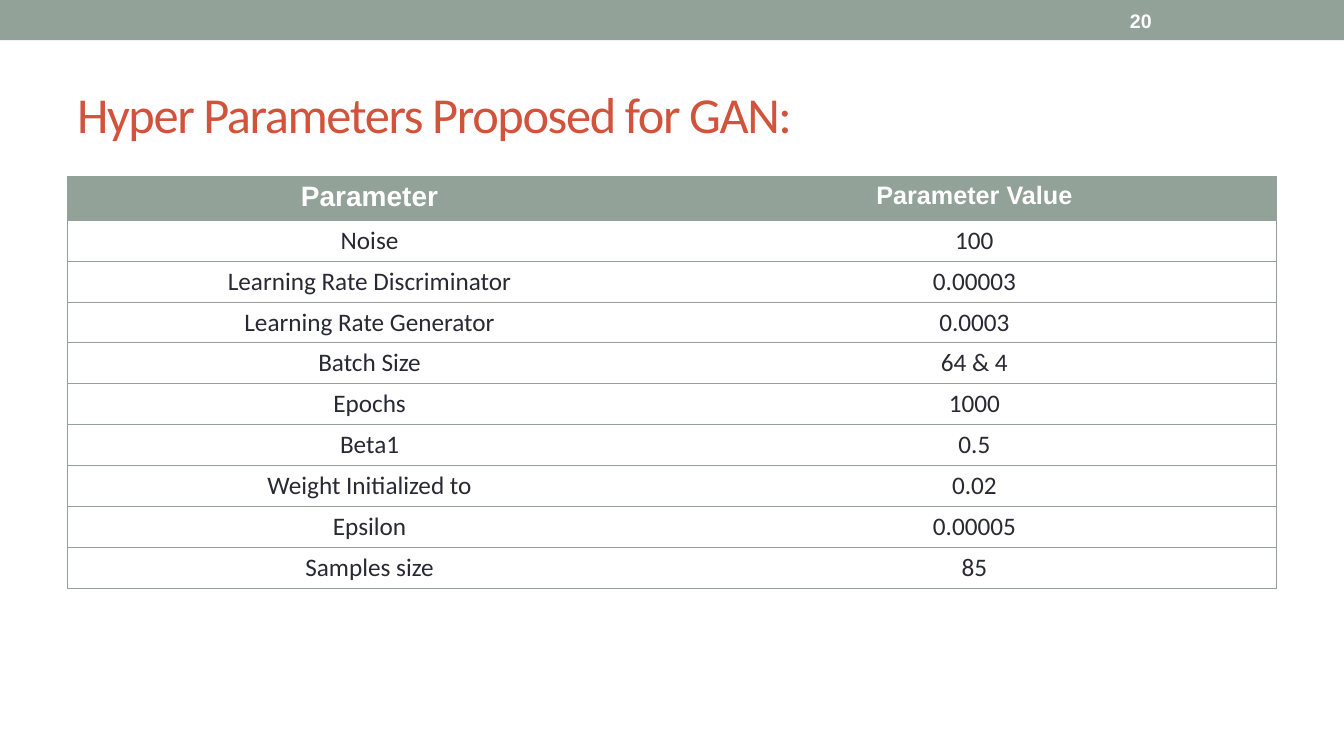
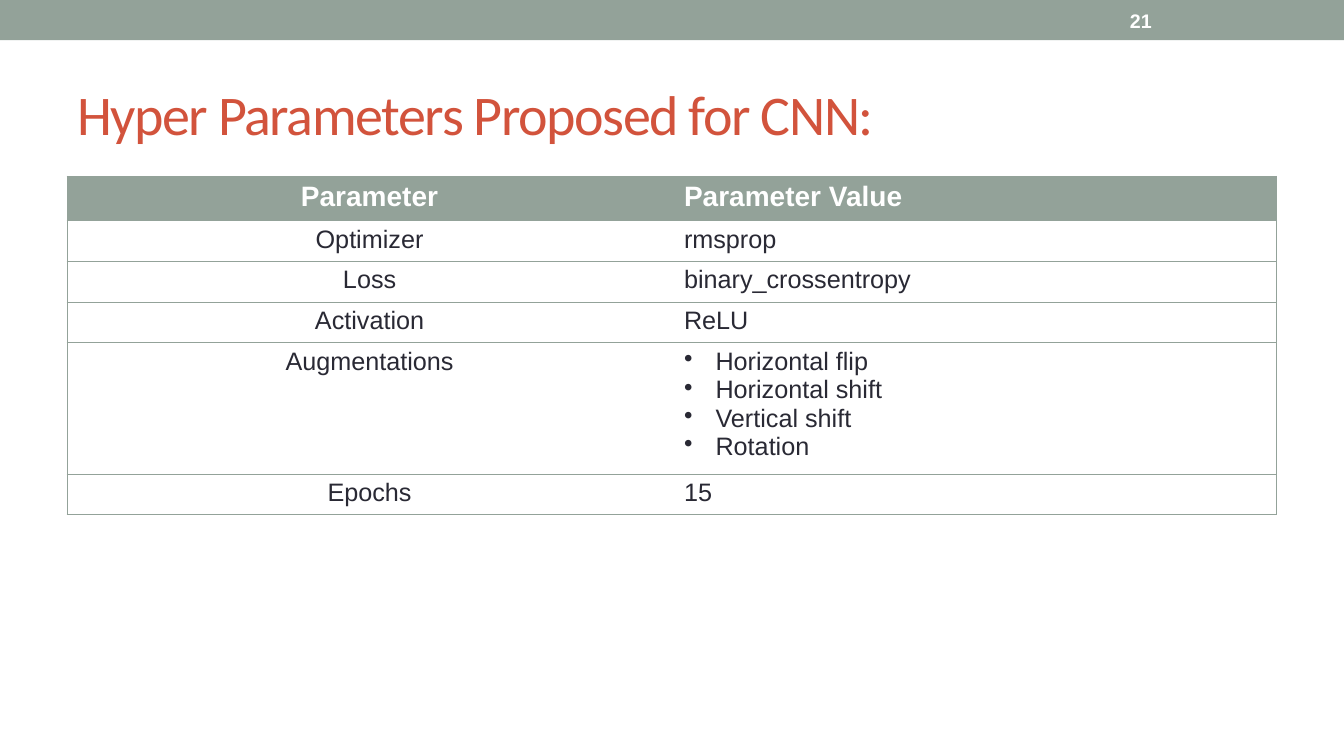
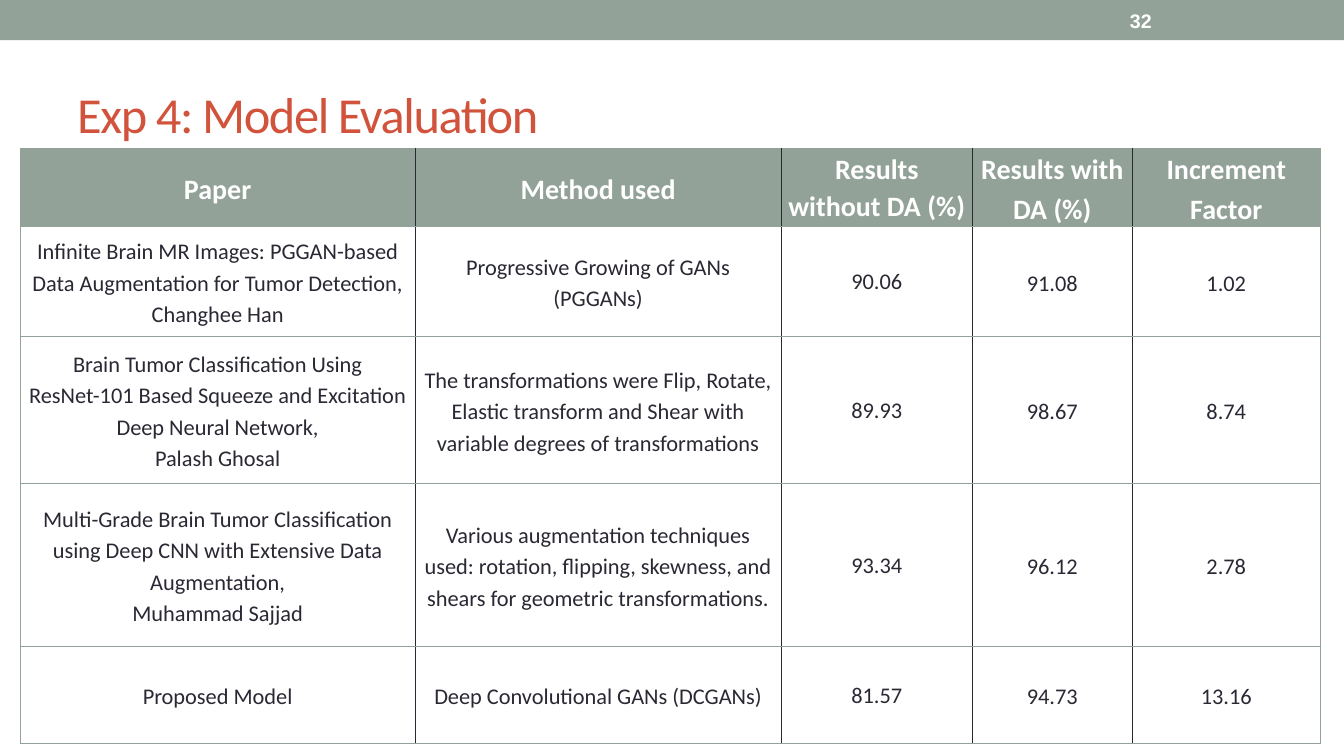
import pptx
import pptx.dml.color
import pptx.enum.shapes
import pptx.enum.text
import pptx.oxml
import pptx.oxml.ns
import pptx.util
from lxml import etree

Pt = pptx.util.Pt
ALIGN = pptx.enum.text.PP_ALIGN
ANCHOR = pptx.enum.text.MSO_ANCHOR

COLORS = {"sage": "93A299", "brick": "D2533C", "ink": "292934", "white": "FFFFFF"}
PAGE_WIDTH, PAGE_HEIGHT = 960, 540
BAND_HEIGHT = 28.8
TITLE_BOX = (48, 42, 864, 78)
NUMBER_BOX = (800, 1.5, 112, 26)
ROW = 29.25
OUTER_LINE = ("sage", 0.75)

# Formats of the two simple parameter tables; the evaluation table overrides them.
PARAMETER_TABLE = dict(
    left=48, top=126, columns=[432, 432], margins=(8.64, 3.6), anchor=ANCHOR.TOP,
    header_font="Arial", body_font="Calibri", header_sizes=[20, 20], body_size=18,
    aligns=[ALIGN.CENTER, ALIGN.CENTER], spacings=[1, 1], column_line=None)

SLIDES = [
    dict(number="20", title="Hyper Parameters Proposed for GAN:", title_size=36,
         cells=[
             ("Parameter", "Parameter Value"),
             ("Noise", "100"),
             ("Learning Rate Discriminator", "0.00003"),
             ("Learning Rate Generator", "0.0003"),
             ("Batch Size", "64 & 4"),
             ("Epochs", "1000"),
             ("Beta1", "0.5"),
             ("Weight Initialized to", "0.02"),
             ("Epsilon", "0.00005"),
             ("Samples size", "85"),
         ],
         table=dict(PARAMETER_TABLE, rows=[ROW] * 10, header_sizes=[20, 18])),
    dict(number="21", title="Hyper Parameters Proposed for CNN:", title_size=40,
         cells=[
             ("Parameter", "Parameter Value"),
             ("Optimizer", "rmsprop"),
             ("Loss", "binary_crossentropy"),
             ("Activation", "ReLU"),
             ("Augmentations",
              ["Horizontal flip", "Horizontal shift", "Vertical shift", "Rotation"]),
             ("Epochs", "15"),
         ],
         table=dict(PARAMETER_TABLE, rows=[ROW] * 4 + [3 * ROW, ROW], body_font="Arial",
                    aligns=[ALIGN.CENTER, ALIGN.JUSTIFY], list_indent=22.5)),
    dict(number="32", title="Exp 4: Model Evaluation", title_size=36,
         cells=[
             ("Paper", "Method used", "Results without DA (%)",
              "Results with DA (%)", "Increment Factor"),
             (["Inﬁnite Brain MR Images: PGGAN-based Data Augmentation for Tumor Detection,",
               "Changhee Han"],
              "Progressive Growing of GANs (PGGANs)", "90.06", "91.08", "1.02"),
             (["Brain Tumor Classiﬁcation Using ResNet-101 Based Squeeze and Excitation "
               "Deep Neural Network,", "Palash Ghosal"],
              "The transformations were Flip, Rotate, Elastic transform and Shear with "
              "variable degrees of transformations", "89.93", "98.67", "8.74"),
             (["Multi-Grade Brain Tumor Classiﬁcation using Deep CNN with Extensive Data "
               "Augmentation,", "Muhammad Sajjad"],
              "Various augmentation techniques used: rotation, flipping, skewness, and "
              "shears for geometric transformations.", "93.34", "96.12", "2.78"),
             ("Proposed Model", "Deep Convolutional GANs (DCGANs)",
              "81.57", "94.73", "13.16"),
         ],
         table=dict(left=14.75, top=105.75, columns=[281.5, 262, 136.25, 114.5, 134],
                    rows=[56, 78.5, 105, 116.5, 69], margins=(4.9, 0),
                    anchor=ANCHOR.MIDDLE, header_font="Calibri", body_font="Calibri",
                    header_sizes=[20] * 5, body_size=16, aligns=[ALIGN.CENTER] * 5,
                    spacings=[1.15, 1.15, 1.06, 1.15, 1.15], column_line=("ink", 0.25))),
]


def rgb(name):
    return pptx.dml.color.RGBColor.from_string(COLORS[name])


def write(frame, text, font="Calibri", size=18, color="ink", bold=False,
          align=ALIGN.LEFT, spacing=1, tracking=0, bullet_indent=0):
    """Fill a text frame; a list of strings gives one paragraph each."""
    lines = [text] if isinstance(text, str) else text
    for index, line in enumerate(lines):
        para = frame.paragraphs[0] if index == 0 else frame.add_paragraph()
        para.alignment = align
        para.line_spacing = spacing
        if bullet_indent:
            properties = para._p.get_or_add_pPr()
            properties.set("marL", str(Pt(bullet_indent)))
            properties.set("indent", str(-Pt(bullet_indent)))
            bullet = etree.SubElement(properties, pptx.oxml.ns.qn("a:buChar"))
            bullet.set("char", "•")
        span = para.add_run()
        span.text = line
        span.font.name, span.font.size, span.font.bold = font, Pt(size), bold
        span.font.color.rgb = rgb(color)
        if tracking:
            span._r.get_or_add_rPr().set("spc", str(tracking * 100))


def add_text(page, bounds, text, **text_format):
    box = page.shapes.add_textbox(*map(Pt, bounds))
    box.text_frame.word_wrap = True
    box.text_frame.vertical_anchor = ANCHOR.MIDDLE
    write(box.text_frame, text, **text_format)


def set_border(cell, side, line):
    """Draw one side (L, R, T or B) with a (colour, width) line, or clear it with None."""
    edge = etree.SubElement(cell._tc.get_or_add_tcPr(), pptx.oxml.ns.qn("a:ln" + side))
    if line is None:
        etree.SubElement(edge, pptx.oxml.ns.qn("a:noFill"))
        return
    color, width = line
    edge.set("w", str(Pt(width)))
    fill = etree.SubElement(edge, pptx.oxml.ns.qn("a:solidFill"))
    etree.SubElement(fill, pptx.oxml.ns.qn("a:srgbClr")).set("val", COLORS[color])


def add_table(page, cells, left, top, columns, rows, margins, anchor, header_font,
              body_font, header_sizes, body_size, aligns, spacings, column_line,
              list_indent=0):
    table = page.shapes.add_table(len(rows), len(columns), Pt(left), Pt(top),
                                  Pt(sum(columns)), Pt(sum(rows))).table
    table.horz_banding = False
    for column, width in zip(table.columns, columns):
        column.width = Pt(width)
    for row, height in zip(table.rows, rows):
        row.height = Pt(height)

    last = len(columns) - 1
    for r, texts in enumerate(cells):
        header = r == 0
        for c, text in enumerate(texts):
            cell = table.cell(r, c)
            cell.margin_left = cell.margin_right = Pt(margins[0])
            cell.margin_top = cell.margin_bottom = Pt(margins[1])
            cell.vertical_anchor = anchor
            set_border(cell, "L", OUTER_LINE if c == 0 else column_line)
            set_border(cell, "R", OUTER_LINE if c == last else column_line)
            set_border(cell, "T", OUTER_LINE)
            set_border(cell, "B", OUTER_LINE)
            cell.fill.solid()
            cell.fill.fore_color.rgb = rgb("sage" if header else "white")
            write(cell.text_frame, text, bold=header, align=aligns[c], spacing=spacings[c],
                  font=header_font if header else body_font,
                  size=header_sizes[c] if header else body_size,
                  color="white" if header else "ink",
                  bullet_indent=list_indent if isinstance(text, list) else 0)


def add_page(deck, number, title, title_size, cells, table):
    page = deck.slides.add_slide(deck.slide_layouts[6])
    band = page.shapes.add_shape(pptx.enum.shapes.MSO_SHAPE.RECTANGLE, 0, 0,
                                 Pt(PAGE_WIDTH), Pt(BAND_HEIGHT))
    band.shadow.inherit = False
    band.fill.solid()
    band.fill.fore_color.rgb = rgb("sage")
    band.line.fill.background()
    add_text(page, TITLE_BOX, title, size=title_size, color="brick", tracking=-1)
    add_table(page, cells, **table)
    add_text(page, NUMBER_BOX, number, font="Arial", size=14, color="white", bold=True)


def main():
    deck = pptx.Presentation()
    deck.slide_width, deck.slide_height = Pt(PAGE_WIDTH), Pt(PAGE_HEIGHT)
    for slide in SLIDES:
        add_page(deck, **slide)
    deck.save("out.pptx")


if __name__ == "__main__":
    main()
